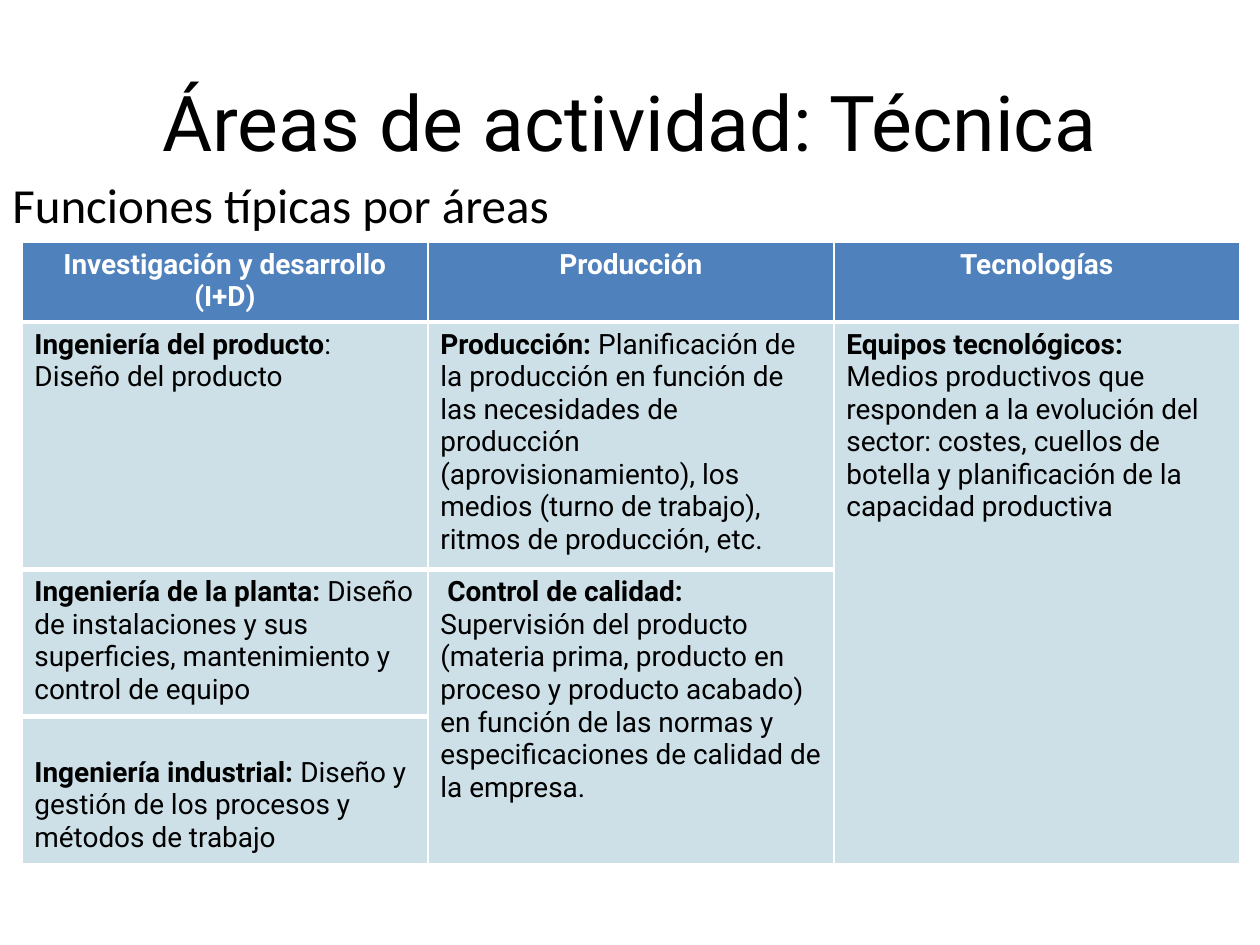
from lxml import etree
from pptx import Presentation
from pptx import util as u
from pptx.dml.color import RGBColor
from pptx.enum import text
from pptx.oxml.ns import qn

Pt = u.Pt
COLORS = {"ink": "000000", "paper": "FFFFFF", "header": "4F81BD", "body": "CDE0E8"}
TITLE = "Áreas de actividad: Técnica"
SUBTITLE = "Funciones típicas por áreas"
HEADERS = ["Investigación y desarrollo (I+D)", "Producción", "Tecnologías"]

# (row, column, rows spanned, paragraphs of (text, bold) runs)
AREAS = [
    (1, 0, 1, [[("Ingeniería del producto", True), (": Diseño del producto", False)]]),
    (1, 1, 1, [[("Producción: ", True),
                ("Planificación de la producción en función de las necesidades de "
                 "producción (aprovisionamiento), los medios (turno de trabajo), "
                 "ritmos de producción, etc.", False)]]),
    (1, 2, 3, [[("Equipos tecnológicos:", True)],
               [("Medios productivos que responden a la evolución del sector: costes, "
                 "cuellos de botella y planificación de la capacidad productiva", False)]]),
    (2, 0, 1, [[("Ingeniería de la planta: ", True),
                ("Diseño de instalaciones y sus superficies, mantenimiento y control "
                 "de equipo", False)]]),
    (2, 1, 2, [[(" Control de calidad:", True)],
               [("Supervisión del producto (materia prima, producto en proceso y "
                 "producto acabado) en función de las normas y especificaciones de "
                 "calidad de la empresa.", False)]]),
    (3, 0, 1, [[("Ingeniería industrial: ", True),
                ("Diseño y gestión de los procesos y métodos de trabajo", False)]]),
]
COL_WIDTH = 232
ROW_HEIGHTS = [44.5, 137, 81.5, 81.5]
THIN, THICK = 1, 3
INDUSTRIAL_TOP = 22.8


def rgb(name):
    """Return the palette colour of that name."""
    return RGBColor.from_string(COLORS[name])


def write(tf, paragraphs, size=16, font="Roboto", color="ink", align=text.PP_ALIGN.LEFT,
          before=0):
    """Fill a text frame with paragraphs of (text, bold) runs."""
    tf.word_wrap = True
    for i, runs in enumerate(paragraphs):
        p = tf.paragraphs[0] if i == 0 else tf.add_paragraph()
        p.alignment, p.space_before = align, Pt(before)
        for words, bold in runs:
            r = p.add_run()
            r.text = words
            r.font.size, r.font.name, r.font.bold = Pt(size), font, bold
            r.font.color.rgb = rgb(color)


def set_borders(cell, top, bottom):
    """Give a cell white borders, thin at the sides."""
    tc_pr = cell._tc.get_or_add_tcPr()
    sides = [("a:lnL", THIN), ("a:lnR", THIN), ("a:lnT", top), ("a:lnB", bottom)]
    for i, (tag, width) in enumerate(sides):
        ln = etree.Element(qn(tag), w=str(Pt(width)))
        fill = etree.SubElement(ln, qn("a:solidFill"))
        etree.SubElement(fill, qn("a:srgbClr"), val=COLORS["paper"])
        tc_pr.insert(i, ln)


def add_areas_table(s):
    """Add the table of functions by area."""
    rows, cols = len(ROW_HEIGHTS), len(HEADERS)
    tbl = s.shapes.add_table(rows, cols, Pt(12.5), Pt(138.4), Pt(COL_WIDTH * cols),
                             Pt(sum(ROW_HEIGHTS))).table
    for col in tbl.columns:
        col.width = Pt(COL_WIDTH)
    for row, height in zip(tbl.rows, ROW_HEIGHTS):
        row.height = Pt(height)

    bottoms = {(r, c): r + span - 1 for r, c, span, _ in AREAS}
    for r in range(rows):
        for c in range(cols):
            cell = tbl.cell(r, c)
            cell.fill.solid()
            cell.fill.fore_color.rgb = rgb("body" if r else "header")
            last = bottoms.get((r, c), r) == rows - 1
            set_borders(cell, THICK if r else THIN, THIN if last else THICK)

    for c, name in enumerate(HEADERS):
        write(tbl.cell(0, c).text_frame, [[(name, True)]], color="paper",
              align=text.PP_ALIGN.CENTER)
    for r, c, span, paragraphs in AREAS:
        cell = tbl.cell(r, c)
        if span > 1:
            cell.merge(tbl.cell(r + span - 1, c))
        write(cell.text_frame, paragraphs)
    tbl.cell(3, 0).margin_top = Pt(INDUSTRIAL_TOP)


prs = Presentation()
prs.slide_width, prs.slide_height = Pt(720), Pt(540)
s = prs.slides.add_slide(prs.slide_layouts[5])

title = s.shapes.title
title.left, title.top, title.width, title.height = Pt(36), Pt(24), Pt(648), Pt(90)
title.text_frame.vertical_anchor = text.MSO_ANCHOR.MIDDLE
write(title.text_frame, [[(TITLE, False)]], size=44, align=text.PP_ALIGN.CENTER)

subtitle = s.shapes.add_textbox(Pt(0), Pt(96), Pt(648), Pt(356))
write(subtitle.text_frame, [[(SUBTITLE, False)]], size=28, font="Calibri", before=2)

add_areas_table(s)
prs.save("out.pptx")
